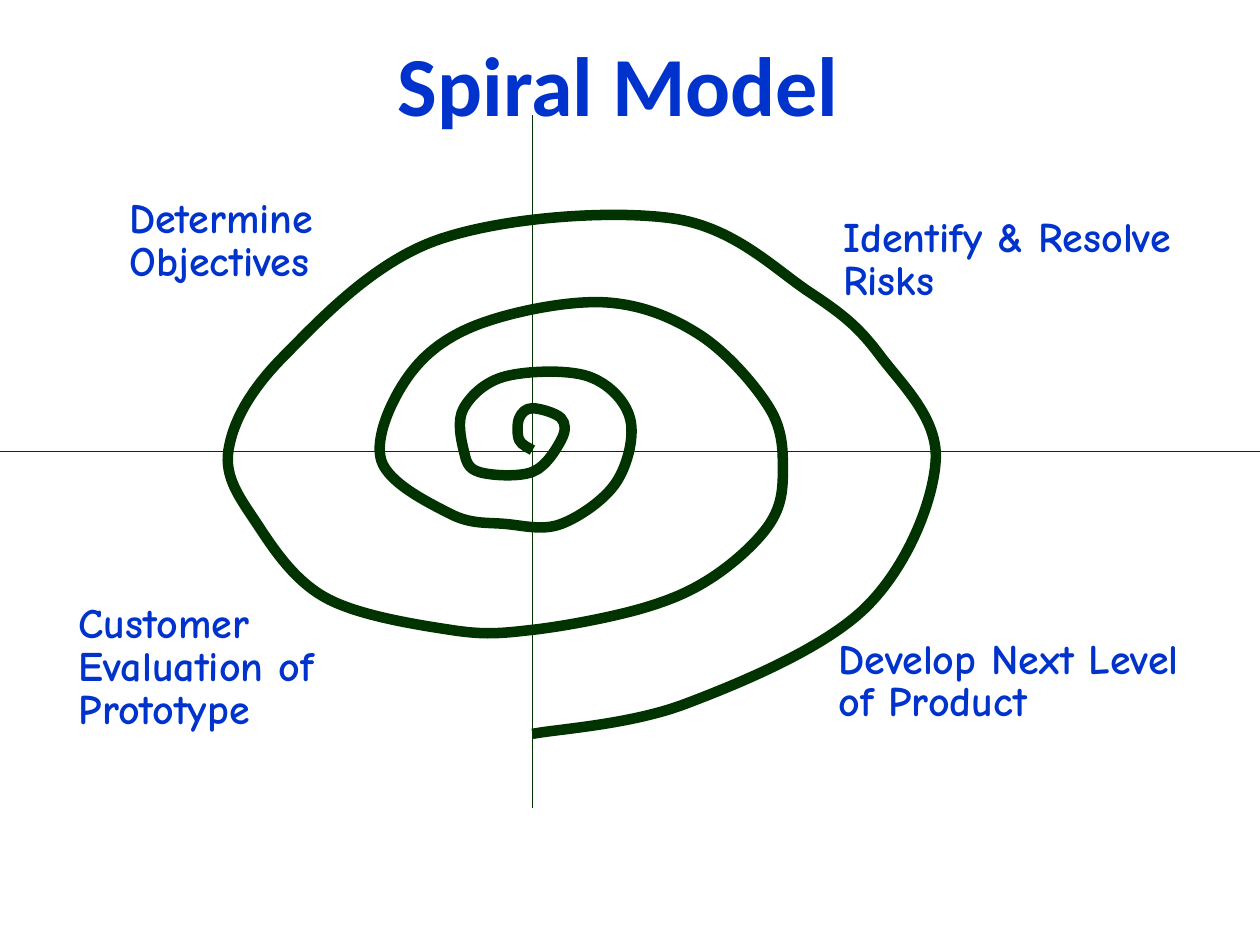
"""Build the Spiral Model slide."""
from dataclasses import dataclass

import pptx
import pptx.dml.color
import pptx.enum.text
import pptx.oxml.ns
import pptx.util
from lxml import etree

Pt = pptx.util.Pt
qn = pptx.oxml.ns.qn


@dataclass(frozen=True)
class Theme:
    """Colours, fonts and sizes of the slide."""
    text: str = "0033CC"
    line: str = "003300"
    title_font: str = "Calibri"
    label_font: str = "Comic Neue"
    title_size: float = 36
    label_size: float = 18
    axis_width: float = 0.75
    spiral_width: float = 4.5


THEME = Theme()
CENTER_X, CENTER_Y = 228.2, 193.5
AXES = [
    (CENTER_X, 49.5, CENTER_X, 346.5),
    (0, CENTER_Y, 540, CENTER_Y),
]
LABELS = [
    ("Determine Objectives", 54, 82, 120, 41),
    ("Identify & Resolve Risks", 360, 90, 146, 50),
    ("Develop Next Level of Product", 358, 270.7, 168, 42),
    ("Customer Evaluation of Prototype", 32.4, 255.6, 144, 59),
]
SPIRAL_KNOTS = [
    (228.2, 193), (222.5, 188.6), (222.5, 179.3), (228.2, 175),
    (240.5, 179.3), (240.5, 188.6), (228.2, 202.3), (205.2, 202.3),
    (198.7, 193), (198.7, 175), (216.7, 161.3), (252, 161.3),
    (270, 179.3), (264.2, 206.6), (240.5, 224.6), (216.7, 224.6),
    (193, 220.3), (163.4, 197.3), (175, 161.3), (205.2, 139),
    (258.5, 129.6), (299.5, 143.3), (329.8, 175), (335.5, 202.3),
    (329.8, 224.6), (306, 247), (275.8, 260.6), (228.2, 270),
    (193, 270), (139.7, 256.3), (110.2, 224.6), (97.9, 193),
    (121.7, 152.6), (187.2, 103), (288, 93.6), (347, 125.3),
    (377.3, 152.6), (401, 197.3), (370.8, 260.6), (293.8, 301.7),
    (228.2, 314.6),
]


def rgb(value):
    """Return the colour for a hex string."""
    return pptx.dml.color.RGBColor.from_string(value)


def format_text(tf, text, font, size, spacing, before):
    """Fill a text frame with one bold paragraph and return it."""
    tf.word_wrap = True
    tf.auto_size = pptx.enum.text.MSO_AUTO_SIZE.NONE
    tf.margin_left = tf.margin_right = Pt(1.4)
    tf.margin_top = tf.margin_bottom = Pt(3.6)
    p = tf.paragraphs[0]
    p.text = text
    p.line_spacing = spacing
    p.space_before = Pt(before)
    p.font.name = font
    p.font.size = Pt(size)
    p.font.bold = True
    p.font.color.rgb = rgb(THEME.text)
    return p


def add_title(s, text):
    """Place and format the title placeholder."""
    sp = s.shapes.title
    sp.left, sp.top, sp.width, sp.height = Pt(0), Pt(4.3), Pt(530), Pt(67)
    tf = sp.text_frame
    tf.vertical_anchor = pptx.enum.text.MSO_ANCHOR.MIDDLE
    p = format_text(tf, text, THEME.title_font, THEME.title_size, 0.94, 8.1)
    p.alignment = pptx.enum.text.PP_ALIGN.CENTER


def add_label(s, text, *box):
    """Add the label of one quadrant."""
    sp = s.shapes.add_textbox(*map(Pt, box))
    format_text(sp.text_frame, text, THEME.label_font, THEME.label_size, 0.85, 10.2)


def add_axis(s, *ends):
    """Add a thin straight axis without a shadow."""
    kind = pptx.enum.shapes.MSO_CONNECTOR.STRAIGHT
    sp = s.shapes.add_connector(kind, *map(Pt, ends))
    sp.line.color.rgb = rgb(THEME.line)
    sp.line.width = Pt(THEME.axis_width)
    etree.SubElement(sp._element.spPr, qn("a:effectLst"))


def smooth(sp):
    """Turn the segments of a freeform into a curve through its knots."""
    pts = [(int(pt.get("x")), int(pt.get("y"))) for pt in sp._element.iter(qn("a:pt"))]
    padded = [pts[0], *pts, pts[-1]]
    segments = list(sp._element.iter(qn("a:lnTo")))
    for segment, a, b, c, d in zip(segments, padded, pts, pts[1:], padded[3:] + pts[-1:]):
        first = [v + (w - u) / 6 for u, v, w in zip(a, b, c)]
        second = [v - (w - u) / 6 for u, v, w in zip(b, c, d)]
        curve = etree.Element(qn("a:cubicBezTo"))
        for x, y in (first, second, c):
            etree.SubElement(curve, qn("a:pt"), x=str(round(x)), y=str(round(y)))
        segment.getparent().replace(segment, curve)


def add_spiral(s, knots):
    """Add the thick open spiral through the knots."""
    pts = [(Pt(x), Pt(y)) for x, y in knots]
    builder = s.shapes.build_freeform(*pts[0])
    builder.add_line_segments(pts[1:], close=False)
    sp = builder.convert_to_shape()
    smooth(sp)
    sp.shadow.inherit = False
    sp.fill.background()
    sp.line.color.rgb = rgb(THEME.line)
    sp.line.width = Pt(THEME.spiral_width)


def main():
    """Build and save the slide."""
    prs = pptx.Presentation()
    prs.slide_width, prs.slide_height = Pt(540), Pt(405)
    s = prs.slides.add_slide(prs.slide_layouts[5])
    add_title(s, "Spiral Model")
    for axis in AXES:
        add_axis(s, *axis)
    add_spiral(s, SPIRAL_KNOTS)
    for label in LABELS:
        add_label(s, *label)
    prs.save("out.pptx")


if __name__ == "__main__":
    main()
